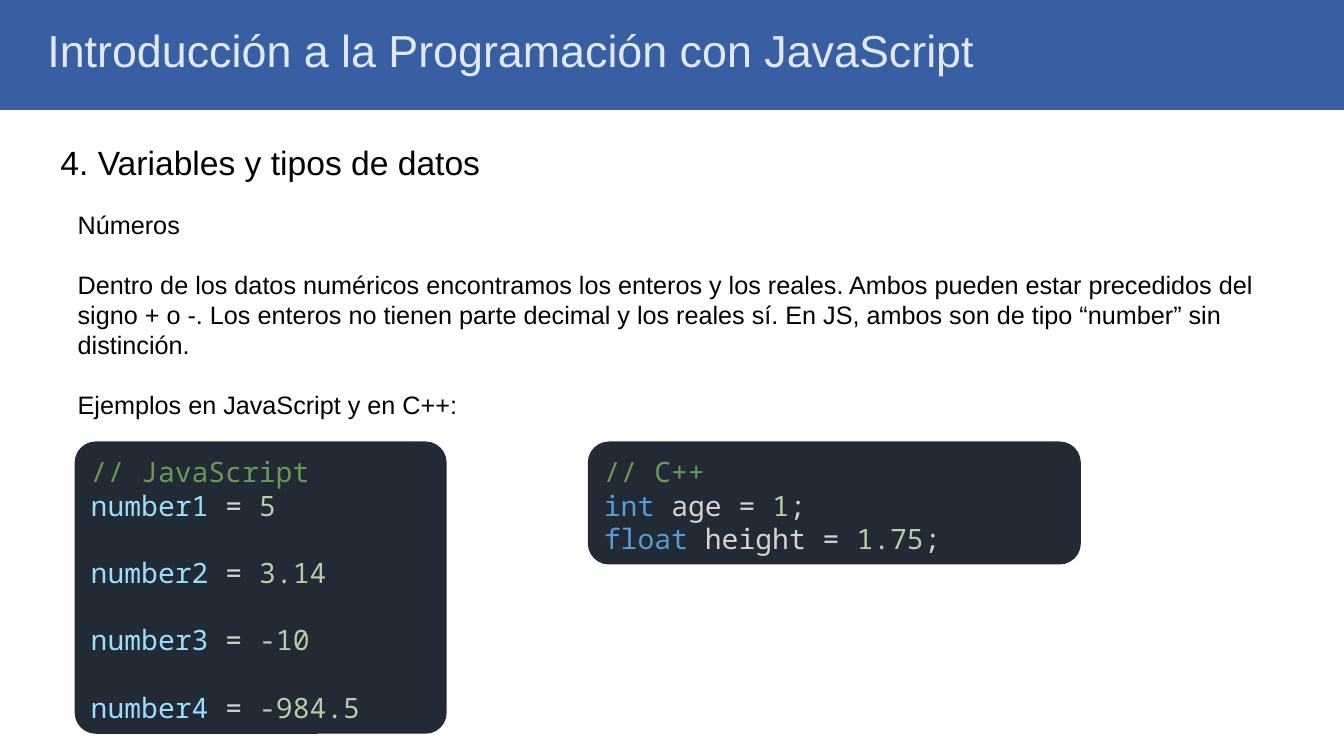
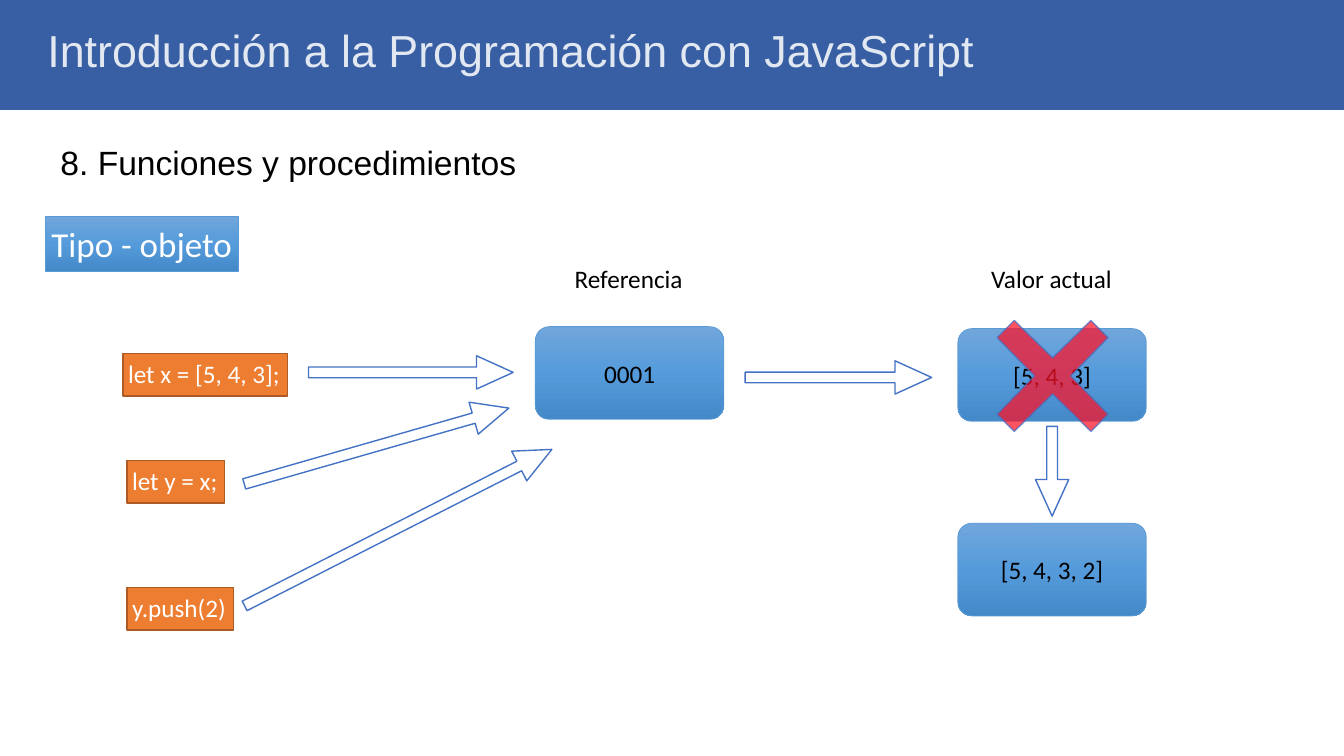
from dataclasses import dataclass
from typing import NamedTuple

from lxml import etree
from pptx import Presentation
from pptx.dml.color import RGBColor
from pptx.enum.shapes import MSO_SHAPE
from pptx.enum.text import MSO_ANCHOR, MSO_AUTO_SIZE, PP_ALIGN
from pptx.oxml.ns import qn
from pptx.util import Pt

RECTANGLE = MSO_SHAPE.RECTANGLE
ROUNDED = MSO_SHAPE.ROUNDED_RECTANGLE
ARROW = MSO_SHAPE.RIGHT_ARROW
TOP, MIDDLE = MSO_ANCHOR.TOP, MSO_ANCHOR.MIDDLE
LEFT, CENTER = PP_ALIGN.LEFT, PP_ALIGN.CENTER
NO_AUTOFIT = MSO_AUTO_SIZE.NONE

PX = 9144
SLIDE_WIDTH, SLIDE_HEIGHT = 1333, 750
TITLE_AND_CONTENT, TITLE_ONLY = 1, 5
COURSE_TITLE = "Introducción a la Programación con JavaScript"


@dataclass(frozen=True)
class Theme:
    sans: str = "Arial"
    diagram: str = "Calibri"
    mono: str = "Noto Sans Mono"
    title_size: int = 32
    tag_size: int = 25
    heading_size: int = 24
    code_size: int = 20
    body_size: int = 18
    code_leading: int = 24
    white: str = "FFFFFF"
    black: str = "000000"
    band: str = "385FA4"
    panel: str = "222A35"
    comment: str = "6A9955"
    variable: str = "9CDCFE"
    plain: str = "D4D4D4"
    number: str = "B5CEA8"
    keyword: str = "569CD6"
    statement: str = "ED7D31"
    statement_line: str = "AD5B24"
    node_line: str = "5B9BD5"
    arrow_line: str = "4472C4"
    cross: str = "FF1126"
    node_gradient: tuple = ((0, "70A6DB"), (50, "559BDB"), (100, "448AC9"))
    title_opacity: int = 85
    cross_opacity: int = 72


THEME = Theme()


class Box(NamedTuple):
    left: int
    top: int
    width: int
    height: int

    def emu(self) -> list:
        return [value * PX for value in self]


class Style(NamedTuple):
    font: str
    size: int
    color: str


class Label(NamedTuple):
    text: str
    box: Box


class Arrow(NamedTuple):
    box: Box
    rotation: int = 0


class CodeLine(NamedTuple):
    tokens: tuple
    gap_before: bool = False


class CodePanel(NamedTuple):
    box: Box
    lines: tuple


HEADING = Style(THEME.sans, THEME.heading_size, THEME.black)
BODY = Style(THEME.sans, THEME.body_size, THEME.black)
CAPTION = Style(THEME.diagram, THEME.body_size, THEME.black)
STATEMENT = Style(THEME.diagram, THEME.body_size, THEME.white)
TAG = Style(THEME.diagram, THEME.tag_size, THEME.white)


def assignment(name: str, value: str, gap_before: bool = True) -> CodeLine:
    return CodeLine(((name, THEME.variable), (" = ", THEME.plain),
                     (value, THEME.number)), gap_before)


def declaration(kind: str, name: str, value: str) -> CodeLine:
    return CodeLine(((kind, THEME.keyword), (f" {name} = ", THEME.plain),
                     (value, THEME.number), (";", THEME.plain)))


def comment(text: str) -> CodeLine:
    return CodeLine(((text, THEME.comment),))


NUMBER_PARAGRAPHS = (
    "Números",
    "Dentro de los datos numéricos encontramos los enteros y los reales. Ambos pueden estar "
    "precedidos del signo + o -. Los enteros no tienen parte decimal y los reales sí. En JS, "
    "ambos son de tipo “number” sin distinción.",
    "Ejemplos en JavaScript y en C++:",
)
CODE_PANELS = (
    CodePanel(Box(74, 438, 369, 290), (
        comment("// JavaScript"),
        assignment("number1", "5", False),
        assignment("number2", "3.14"),
        assignment("number3", "-10"),
        assignment("number4", "-984.5"),
    )),
    CodePanel(Box(583, 438, 489, 122), (
        comment("// C++"),
        declaration("int", "age", "1"),
        declaration("float", "height", "1.75"),
    )),
)
STATEMENTS = (
    Label("let x = [5, 4, 3];", Box(122, 351, 163, 42)),
    Label("let y = x;", Box(126, 457, 97, 42)),
    Label("y.push(2)", Box(126, 583, 106, 42)),
)
CAPTIONS = (
    Label("Referencia", Box(565, 256, 118, 41)),
    Label("Valor actual", Box(978, 256, 131, 41)),
)
NODES = (
    Label("0001", Box(531, 324, 187, 92)),
    Label("[5, 4, 3]", Box(950, 326, 187, 92)),
    Label("[5, 4, 3, 2]", Box(950, 519, 187, 92)),
)
ARROWS = (
    Arrow(Box(306, 353, 203, 33)),
    Arrow(Box(739, 358, 185, 33)),
    Arrow(Box(237, 426, 273, 33), 344),
    Arrow(Box(224, 507, 342, 33), 333),
    Arrow(Box(999, 451, 89, 33), 90),
)


def set_opacity(properties, percent: int) -> None:
    for color in properties.iter(qn("a:srgbClr")):
        etree.SubElement(color, qn("a:alpha"), val=str(percent * 1000))


def add_run(paragraph, text: str, style: Style):
    run = paragraph.add_run()
    run.text = text
    run.font.name = style.font
    run.font.size = Pt(style.size)
    run.font.color.rgb = RGBColor.from_string(style.color)
    return run


def set_frame(shape, inset_x: int = 5, inset_y: int = 5, anchor=TOP, wrap: bool = True):
    frame = shape.text_frame
    frame.auto_size = NO_AUTOFIT
    frame.word_wrap = wrap
    frame.vertical_anchor = anchor
    frame.margin_left = frame.margin_right = inset_x * PX
    frame.margin_top = frame.margin_bottom = inset_y * PX
    return frame


def write(shape, text: str, style: Style, align=LEFT, anchor=TOP, wrap: bool = False) -> None:
    paragraph = set_frame(shape, anchor=anchor, wrap=wrap).paragraphs[0]
    paragraph.alignment = align
    add_run(paragraph, text, style)


def place(shape, box: Box) -> None:
    shape.left, shape.top, shape.width, shape.height = box.emu()


def paint(shape, fill: str, line: str = "", line_width: float = 1) -> None:
    shape.shadow.inherit = False
    shape.fill.solid()
    shape.fill.fore_color.rgb = RGBColor.from_string(fill)
    if line:
        shape.line.color.rgb = RGBColor.from_string(line)
        shape.line.width = Pt(line_width)
    else:
        shape.line.fill.background()


def paint_gradient(shape) -> None:
    paint(shape, THEME.white, THEME.node_line, 0.5)
    shape.fill.gradient()
    shape.fill.gradient_angle = 270
    stops = next(shape.element.iter(qn("a:gsLst")))
    for stop in list(stops):
        stops.remove(stop)
    for position, color in THEME.node_gradient:
        stop = etree.SubElement(stops, qn("a:gs"), pos=str(position * 1000))
        etree.SubElement(stop, qn("a:srgbClr"), val=color)


def add_shape(slide, kind, box: Box, radius: int = 0):
    shape = slide.shapes.add_shape(kind, *box.emu())
    if radius:
        shape.adjustments[0] = radius / min(box.width, box.height)
    return shape


def add_label(slide, label: Label, style: Style) -> None:
    write(slide.shapes.add_textbox(*label.box.emu()), label.text, style)


def add_course_slide(presentation, layout: int, heading: Label):
    slide = presentation.slides.add_slide(presentation.slide_layouts[layout])
    band = add_shape(slide, RECTANGLE, Box(0, 0, SLIDE_WIDTH, 108))
    paint(band, THEME.band, THEME.band, 2)
    title = slide.shapes.title
    title.element.addprevious(band.element)
    place(title, Box(34, 16, 1016, 78))
    paragraph = set_frame(title, 13, 13).paragraphs[0]
    paragraph.alignment = LEFT
    paragraph.line_spacing = 0.9
    paragraph.space_before = Pt(21)
    run = add_run(paragraph, COURSE_TITLE, Style(THEME.sans, THEME.title_size, THEME.white))
    set_opacity(run.font.fill._xPr, THEME.title_opacity)
    add_label(slide, heading, HEADING)
    return slide


def fill_body(body, box: Box, texts: tuple) -> None:
    place(body, box)
    frame = set_frame(body)
    for index, text in enumerate(texts):
        paragraph = frame.add_paragraph() if index else frame.paragraphs[0]
        paragraph.space_before = Pt(0)
        paragraph.space_after = Pt(21)
        properties = paragraph._p.get_or_add_pPr()
        properties.set("marL", "0")
        properties.set("indent", "0")
        etree.SubElement(properties, qn("a:buNone"))
        add_run(paragraph, text, BODY)


def add_code_panel(slide, panel: CodePanel) -> None:
    shape = add_shape(slide, ROUNDED, panel.box, 21)
    paint(shape, THEME.panel)
    frame = set_frame(shape, 10, 7)
    for index, line in enumerate(panel.lines):
        paragraph = frame.add_paragraph() if index else frame.paragraphs[0]
        paragraph.alignment = LEFT
        paragraph.line_spacing = Pt(THEME.code_leading)
        paragraph.space_before = Pt(THEME.code_leading if line.gap_before else 0)
        for text, color in line.tokens:
            add_run(paragraph, text, Style(THEME.mono, THEME.code_size, color))


def add_arrow(slide, arrow: Arrow) -> None:
    shape = add_shape(slide, ARROW, arrow.box)
    shape.adjustments[0], shape.adjustments[1] = 0.32, 1.1
    shape.rotation = arrow.rotation
    paint(shape, THEME.white, THEME.arrow_line)


def add_cross(slide, center_x: int, center_y: int) -> None:
    arm = [(-38, -55), (-55, -38), (-18, 0)]
    outline = []
    for _ in range(4):
        outline += [(center_x + x, center_y + y) for x, y in arm]
        arm = [(y, -x) for x, y in arm]
    builder = slide.shapes.build_freeform(*outline[0], scale=PX)
    builder.add_line_segments(outline[1:], close=True)
    cross = builder.convert_to_shape()
    paint(cross, THEME.cross, THEME.arrow_line)
    set_opacity(cross.element.spPr, THEME.cross_opacity)


def build_numbers(presentation) -> None:
    heading = Label("4. Variables y tipos de datos", Box(55, 136, 434, 49))
    slide = add_course_slide(presentation, TITLE_AND_CONTENT, heading)
    fill_body(slide.placeholders[1], Box(72, 203, 1182, 214), NUMBER_PARAGRAPHS)
    for panel in CODE_PANELS:
        add_code_panel(slide, panel)


def build_references(presentation) -> None:
    heading = Label("8. Funciones y procedimientos", Box(55, 136, 464, 49))
    slide = add_course_slide(presentation, TITLE_ONLY, heading)
    tag = add_shape(slide, RECTANGLE, Box(45, 215, 191, 54))
    paint_gradient(tag)
    write(tag, "Tipo - objeto", TAG, CENTER, MIDDLE)
    for statement in STATEMENTS:
        shape = add_shape(slide, RECTANGLE, statement.box)
        paint(shape, THEME.statement, THEME.statement_line)
        write(shape, statement.text, STATEMENT)
    for caption in CAPTIONS:
        add_label(slide, caption, CAPTION)
    for node in NODES:
        shape = add_shape(slide, ROUNDED, node.box, 14)
        paint_gradient(shape)
        write(shape, node.text, CAPTION, CENTER, MIDDLE, True)
    for arrow in ARROWS:
        add_arrow(slide, arrow)
    add_cross(slide, 1044, 373)


def main() -> None:
    presentation = Presentation()
    presentation.slide_width = SLIDE_WIDTH * PX
    presentation.slide_height = SLIDE_HEIGHT * PX
    build_numbers(presentation)
    build_references(presentation)
    presentation.save("out.pptx")


if __name__ == "__main__":
    main()
